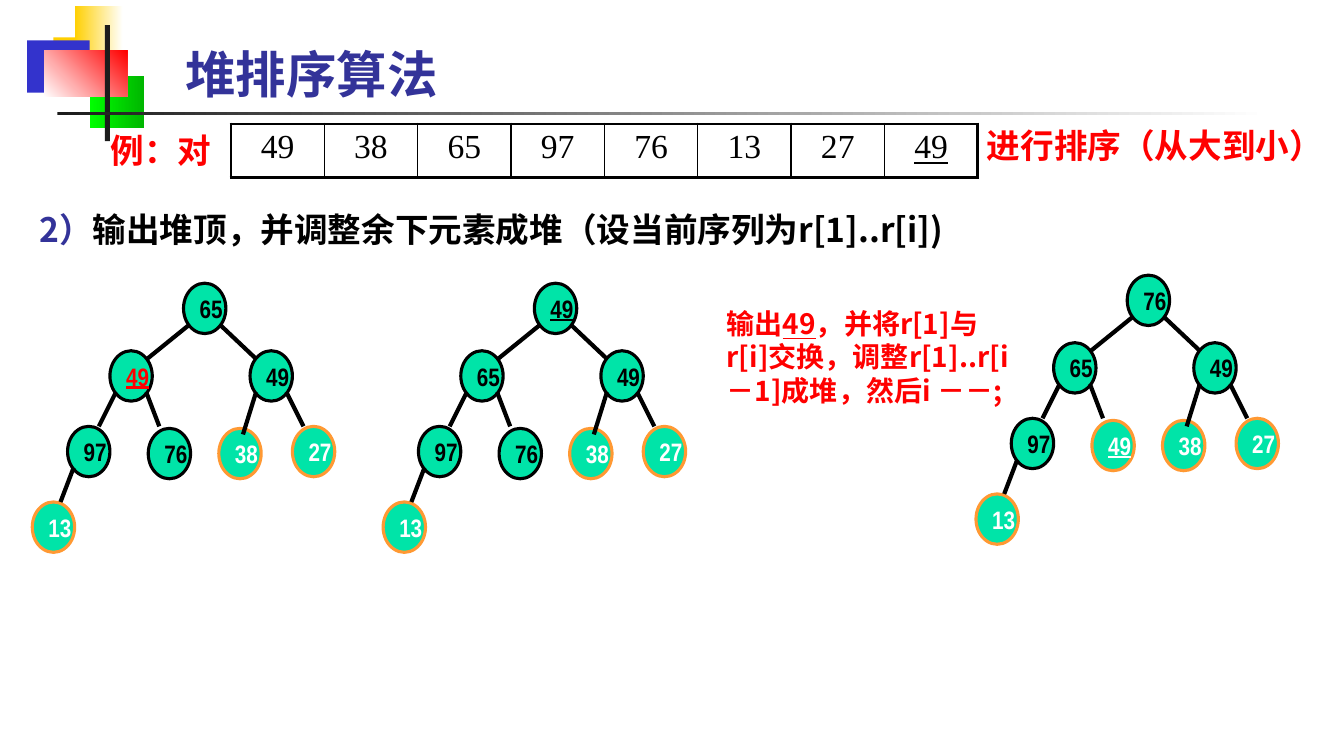
from lxml import etree
from pptx import Presentation
from pptx.dml.color import RGBColor
from pptx.enum import shapes as sh, text as tx
from pptx.oxml import ns
from pptx.util import Inches, Pt

CJK, NARROW, SERIF = "Noto Sans CJK SC", "Arial Narrow", "Times New Roman"
RED, BLACK, NAVY, WHITE = "FF0000", "000000", "333399", "FFFFFF"
MINT, ORANGE = "00E4A8", "FF9933"

# Content
TITLE = "堆排序算法"
SEQUENCE = ["49", "38", "65", "97", "76", "13", "27", "49"]
UNDER = {"underline": True}

# Each box: left, top, width, size, font, colour, runs
NOTES = [
    (0.29, 2.02, 9.58, 24, CJK, BLACK,
     [("2）", {"color": NAVY}),
      ("输出堆顶，并调整余下元素成堆（设当前序列为r[1]..r[i])", {})]),
    (1, 1.24, 1.69, 24, NARROW, RED, [("例：对", {})]),
    (9.69, 1.19, 3.64, 24, NARROW, RED, [("进行排序（从大到小）", {})]),
    (7.11, 2.99, 3.03, 20, CJK, RED,
     [("输出", {}), ("49", UNDER),
      ("，并将r[1]与r[i]交换，调整r[1]..r[i－1]成堆，然后i －－;", {})]),
]

# Heaps in level order: root position, then (label, outline, text format)
HEAP = (BLACK, {"color": BLACK})
HEAP_UNDER = (BLACK, {"color": BLACK, **UNDER})
MOVED = (BLACK, {"color": RED, **UNDER})
LEAF = (ORANGE, {"color": WHITE})
LEAF_UNDER = (ORANGE, {"color": WHITE, **UNDER})
HEAPS = [
    (1.82, 2.81, [("65", HEAP), ("49", MOVED), ("49", HEAP), ("97", HEAP),
                  ("76", HEAP), ("38", LEAF), ("27", LEAF), ("13", LEAF)]),
    (5.3, 2.81, [("49", HEAP_UNDER), ("65", HEAP), ("49", HEAP), ("97", HEAP),
                 ("76", HEAP), ("38", LEAF), ("27", LEAF), ("13", LEAF)]),
    (11.18, 2.73, [("76", HEAP), ("65", HEAP), ("49", HEAP), ("97", HEAP),
                   ("49", LEAF_UNDER), ("38", LEAF), ("27", LEAF), ("13", LEAF)]),
]
# Node offsets from the root, and where the branch from the parent lands on each node
NODE_W, NODE_H = 0.42, 0.5
NODES = [(0, 0), (-0.73, 0.67), (0.66, 0.67), (-1.15, 1.42),
         (-0.35, 1.44), (0.35, 1.44), (1.08, 1.42), (-1.5, 2.17)]
LANDINGS = [(0.37, 0.08), (0.06, 0.08), (0.31, 0), (0.11, -0.02),
            (0.24, 0.06), (0.11, 0), (0.28, 0)]
BRANCH_X, BRANCH_Y = (0.06, 0.36), 0.41

# Title ornament: left, top, width, height, colours, gradient angle
ORNAMENT = [
    (0.53, 0.37, 0.64, 0.52, ["FFCF01"], 0),
    (0.74, 0.06, 0.48, 0.52, ["FFCF01", WHITE], 0),
    (0.27, 0.4, 0.62, 0.52, ["3333CC"], 0),
    (0.89, 0.75, 0.54, 0.52, ["00FF00", "00B600"], 0),
    (0.44, 0.5, 0.82, 0.46, [WHITE, RED], 45),
    (1.04, 0.25, 0.05, 1.15, ["1C1C1C"], 0),
    (0.57, 1.11, 12, 0.03, ["1C1C1C", WHITE], 0),
]


def rgb(code):
    return RGBColor.from_string(code)


def write(frame, runs, size=18, font=NARROW, color=BLACK, bold=True,
          align=tx.PP_ALIGN.LEFT, leading=None):
    """Fill a text frame with (text, overrides) runs."""
    para = frame.paragraphs[0]
    para.alignment = align
    if leading:
        para.line_spacing = Pt(leading)
    for words, extra in runs:
        run = para.add_run()
        run.text = words
        run.font.size, run.font.name, run.font.bold = Pt(size), font, bold
        run.font.underline = extra.get("underline", False)
        run.font.color.rgb = rgb(extra.get("color", color))
        east = etree.SubElement(run.font._element, ns.qn("a:ea"))
        east.set("typeface", CJK)


def preset(parent, kind, left, top, width, height):
    shape = parent.add_shape(kind, *map(Inches, (left, top, width, height)))
    shape.shadow.inherit = False
    return shape


def draw_heap(slide, left, top, labels):
    heap = slide.shapes.add_group_shape().shapes
    spots = [(left + dx, top + dy) for dx, dy in NODES]
    for (x, y), (label, (outline, style)) in zip(spots, labels):
        node = preset(heap, sh.MSO_SHAPE.OVAL, x, y, NODE_W, NODE_H)
        node.fill.solid()
        node.fill.fore_color.rgb = rgb(MINT)
        node.line.color.rgb, node.line.width = rgb(outline), Pt(2.25)
        node.text_frame.word_wrap = False
        node.text_frame.vertical_anchor = tx.MSO_ANCHOR.MIDDLE
        write(node.text_frame, [(label, style)])
    for child, (dx, dy) in enumerate(LANDINGS, start=1):
        parent_x, parent_y = spots[(child - 1) // 2]
        x, y = spots[child]
        ends = (parent_x + BRANCH_X[(child - 1) % 2], parent_y + BRANCH_Y, x + dx, y + dy)
        branch = heap.add_connector(sh.MSO_CONNECTOR.STRAIGHT, *map(Inches, ends))
        branch.line.color.rgb, branch.line.width = rgb(BLACK), Pt(3)
        etree.SubElement(branch._element.spPr, ns.qn("a:effectLst"))


def border(cell, side, width):
    line = etree.SubElement(cell._tc.get_or_add_tcPr(), ns.qn("a:ln" + side))
    line.set("w", str(Pt(width)))
    fill = etree.SubElement(line, ns.qn("a:solidFill"))
    etree.SubElement(fill, ns.qn("a:srgbClr")).set("val", BLACK)


def draw_sequence(slide):
    count = len(SEQUENCE)
    table = slide.shapes.add_table(
        1, count, Inches(2.29), Inches(1.23), Inches(7.41), Inches(0.53)).table
    for i, number in enumerate(SEQUENCE):
        table.columns[i].width = Inches(7.41 / count)
        cell = table.cell(0, i)
        first, last = i == 0, i == count - 1
        for side, thick in (("L", first), ("R", last), ("T", True), ("B", True)):
            border(cell, side, 2.25 if thick else 1)
        cell.fill.background()
        write(cell.text_frame, [(number, UNDER if last else {})], size=24, font=SERIF,
              bold=False, align=tx.PP_ALIGN.CENTER)


def main():
    prs = Presentation()
    prs.slide_width, prs.slide_height = Inches(13.33), Inches(7.5)
    slide = prs.slides.add_slide(prs.slide_layouts[5])

    # Title and its ornament
    for left, top, width, height, colors, angle in ORNAMENT:
        block = preset(slide.shapes, sh.MSO_SHAPE.RECTANGLE, left, top, width, height)
        block.line.fill.background()
        if len(colors) == 1:
            block.fill.solid()
            block.fill.fore_color.rgb = rgb(colors[0])
        else:
            block.fill.gradient()
            block.fill.gradient_angle = angle
            for stop, color in zip(block.fill.gradient_stops, colors):
                stop.color.rgb = rgb(color)
    title = slide.shapes.title
    title.left, title.top, title.width, title.height = map(Inches, (1.74, 0.37, 4.9, 0.71))
    title.text_frame.vertical_anchor = tx.MSO_ANCHOR.MIDDLE
    write(title.text_frame, [(TITLE, {})], size=36, color=NAVY, leading=44)

    # Number sequence and notes
    draw_sequence(slide)
    for left, top, width, size, font, color, runs in NOTES:
        note = slide.shapes.add_textbox(*map(Inches, (left, top, width, 0.5)))
        note.text_frame.word_wrap = True
        write(note.text_frame, runs, size=size, font=font, color=color, leading=size * 1.2)

    # Heaps
    for left, top, labels in HEAPS:
        draw_heap(slide, left, top, labels)

    prs.save("out.pptx")


if __name__ == "__main__":
    main()
